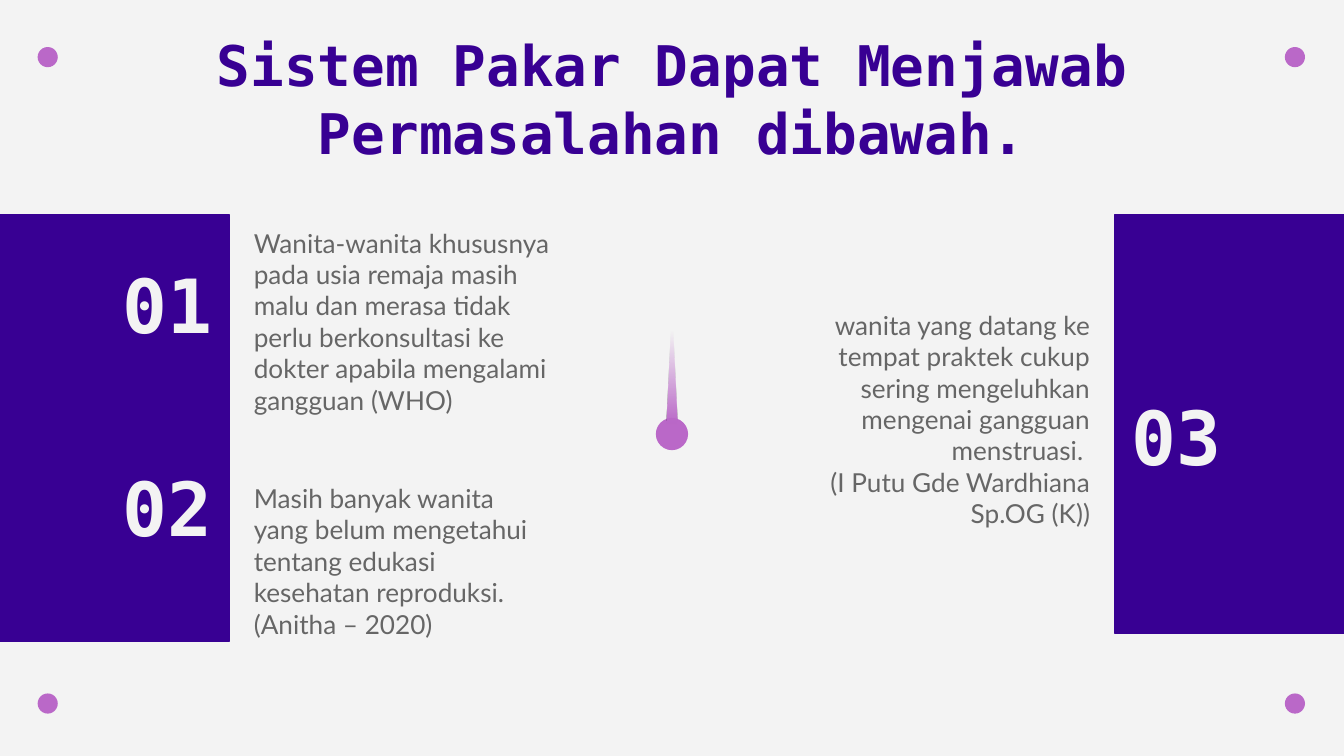
import pptx
import pptx.dml.color
import pptx.enum.shapes
import pptx.enum.text
import pptx.oxml
import pptx.oxml.ns
import pptx.util

Inches = pptx.util.Inches
Shapes = pptx.enum.shapes.MSO_SHAPE
Align = pptx.enum.text.PP_ALIGN
Anchor = pptx.enum.text.MSO_ANCHOR

PURPLE, PINK, PAPER, GREY = "380093", "BA68C8", "F3F3F3", "666666"
MONO, SANS = "DejaVu Sans Mono", "Lato"

SLIDE_WIDTH = 10
SLIDE_HEIGHT = SLIDE_WIDTH * 9 / 16
TEXT_WIDTH = 2.43

TITLE = "Sistem Pakar Dapat Menjawab Permasalahan dibawah."
PANELS = [(8.29, 1.6, 1.71, 3.11), (0, 1.6, 1.71, 3.17)]
POINTS = [
    {"number": "01", "number_at": (0.78, 1.98), "text_box": (1.79, 1.59, TEXT_WIDTH, 1.64),
     "align": Align.LEFT,
     "text": ["Wanita-wanita khususnya pada usia remaja masih malu dan merasa tidak perlu "
              "berkonsultasi ke dokter apabila mengalami gangguan (WHO)"]},
    {"number": "02", "number_at": (0.78, 3.49), "text_box": (1.79, 3.49, TEXT_WIDTH, 1.27),
     "align": Align.LEFT,
     "text": ["Masih banyak wanita yang belum mengetahui tentang edukasi kesehatan "
              "reproduksi. (Anitha – 2020)"]},
    {"number": "03", "number_at": (8.29, 2.96), "text_box": (5.78, 2.2, TEXT_WIDTH, 1.81),
     "align": Align.RIGHT,
     "text": ["wanita yang datang ke tempat praktek cukup sering mengeluhkan mengenai "
              "gangguan menstruasi. ",
              "(I Putu Gde Wardhiana Sp.OG (K))"]},
]
FADE = [(0, 100), (80, 0), (100, 0)]


def color(value):
    return pptx.dml.color.RGBColor.from_string(value)


def add_filled(shapes, kind, box, fill, line=None):
    shape = shapes.add_shape(kind, *map(Inches, box))
    shape.shadow.inherit = False
    shape.fill.solid()
    shape.fill.fore_color.rgb = color(fill)
    if line:
        shape.line.color.rgb = color(line)
        shape.line.width = pptx.util.Pt(0.75)
    else:
        shape.line.fill.background()
    return shape


def write(shape, lines, font, size, ink, align, anchor, bold=False):
    frame = shape.text_frame
    frame.text = "\n".join(lines)
    frame.word_wrap = True
    frame.auto_size = pptx.enum.text.MSO_AUTO_SIZE.NONE
    frame.vertical_anchor = anchor
    frame.margin_left = frame.margin_right = Inches(0.1)
    frame.margin_top = frame.margin_bottom = Inches(0.1)
    for paragraph in frame.paragraphs:
        paragraph.alignment = align
        paragraph.font.name = font
        paragraph.font.size = pptx.util.Pt(size)
        paragraph.font.bold = bold
        paragraph.font.color.rgb = color(ink)


def fade_upward(shape, value, stops):
    stop_xml = "".join(
        f'<a:gs pos="{position * 1000}"><a:srgbClr val="{value}">'
        f'<a:alpha val="{opacity * 1000}"/></a:srgbClr></a:gs>'
        for position, opacity in stops)
    gradient = pptx.oxml.parse_xml(
        f'<a:gradFill {pptx.oxml.ns.nsdecls("a")} rotWithShape="1"><a:gsLst>{stop_xml}'
        '</a:gsLst><a:lin ang="16200000" scaled="0"/></a:gradFill>')
    properties = shape.element.spPr
    solid = properties.find(pptx.oxml.ns.qn("a:solidFill"))
    properties.replace(solid, gradient)


def main():
    presentation = pptx.Presentation()
    presentation.slide_width = Inches(SLIDE_WIDTH)
    presentation.slide_height = Inches(SLIDE_HEIGHT)
    slide = presentation.slides.add_slide(presentation.slide_layouts[5])
    slide.background.fill.solid()
    slide.background.fill.fore_color.rgb = color(PAPER)

    title = slide.shapes.title
    title.left, title.top, title.width, title.height = map(Inches, (0.78, 0.24, 8.44, 1.09))
    write(title, [TITLE], MONO, 30, PURPLE, Align.CENTER, Anchor.BOTTOM, True)

    for left in (0.28, 9.56):
        for top in (0.35, 5.16):
            add_filled(slide.shapes, Shapes.OVAL, (left, top, 0.15, 0.15), PINK)

    for box in PANELS:
        add_filled(slide.shapes, Shapes.RECTANGLE, box, PURPLE, PURPLE)

    for point in POINTS:
        text_box = slide.shapes.add_textbox(*map(Inches, point["text_box"]))
        write(text_box, point["text"], SANS, 14, GREY, point["align"], Anchor.TOP)
        number = add_filled(slide.shapes, Shapes.RECTANGLE,
                            (*point["number_at"], 0.93, 0.56), PURPLE)
        write(number, [point["number"]], MONO, 40, PAPER, Align.CENTER, Anchor.MIDDLE, True)

    pin = slide.shapes.add_group_shape()
    add_filled(pin.shapes, Shapes.OVAL, (4.88, 3.11, 0.24, 0.24), PINK)
    tail = add_filled(pin.shapes, Shapes.ISOSCELES_TRIANGLE, (4.96, 2.29, 0.08, 0.87), PINK)
    fade_upward(tail, PINK, FADE)

    presentation.save("out.pptx")


if __name__ == "__main__":
    main()
